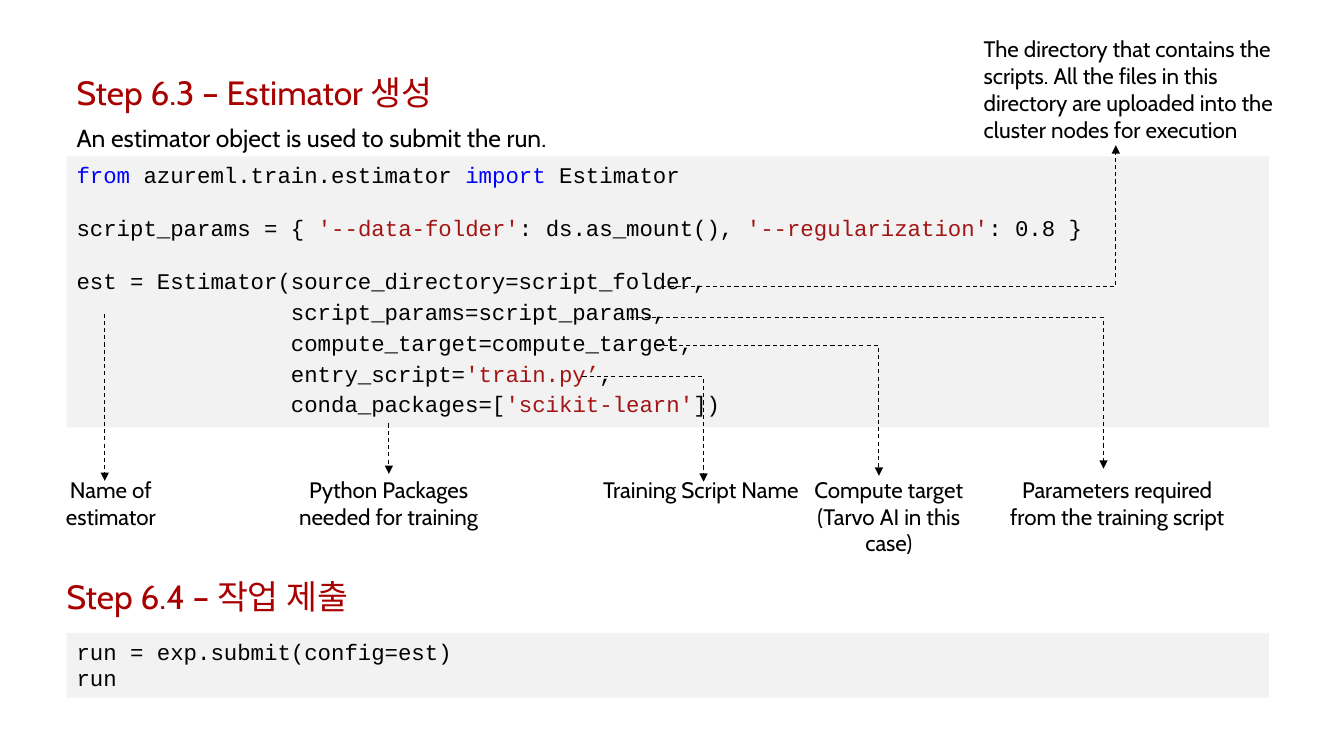
"""Build the slide that explains creating an estimator and submitting the run."""
from lxml.etree import SubElement
from pptx import Presentation
from pptx.dml.color import RGBColor
from pptx.enum.dml import MSO_LINE
from pptx.enum.shapes import MSO_CONNECTOR as Connector, MSO_SHAPE as Shape
from pptx.enum.text import MSO_ANCHOR as Anchor, PP_ALIGN as Align
from pptx.oxml.ns import qn
from pptx.util import Cm, Pt

BLACK = RGBColor(0x00, 0x00, 0x00)
HEADING = RGBColor(0xA8, 0x00, 0x00)
KEYWORD = RGBColor(0x01, 0x01, 0xFD)
STRING = RGBColor(0xA3, 0x15, 0x15)
PANEL = RGBColor(0xF2, 0xF2, 0xF2)
ARGUMENT = " " * 16

deck = Presentation()
deck.slide_width, deck.slide_height = Cm(33.87), Cm(19.05)
page = deck.slides.add_slide(deck.slide_layouts[6])


def add_text(text, left, top, width, height, size=16, color=BLACK, align=Align.LEFT, inset=0):
    box = page.shapes.add_textbox(Cm(left), Cm(top), Cm(width), Cm(height))
    frame = box.text_frame
    frame.word_wrap = True
    frame.margin_left = frame.margin_right = Cm(inset)
    frame.margin_top = frame.margin_bottom = Cm(inset / 2)
    frame.text = text
    para = frame.paragraphs[0]
    para.alignment = align
    if color == HEADING:
        para.line_spacing = 0.9
    font = para.runs[0].font
    font.name, font.size, font.color.rgb = "Cabin", Pt(size), color


def add_code(lines, top, height):
    panel = page.shapes.add_shape(Shape.RECTANGLE, Cm(1.68), Cm(top), Cm(30.3), Cm(height))
    panel.shadow.inherit = False
    panel.fill.solid()
    panel.fill.fore_color.rgb = PANEL
    panel.line.fill.background()
    frame = panel.text_frame
    frame.word_wrap = True
    frame.vertical_anchor = Anchor.TOP
    for number, (before, after, spans) in enumerate(lines):
        para = frame.add_paragraph() if number else frame.paragraphs[0]
        para.alignment = Align.LEFT
        para.line_spacing = Pt(19)
        para.space_before, para.space_after = Pt(before), Pt(after)
        for text, color in spans:
            span = para.add_run()
            span.text = text
            span.font.name, span.font.size, span.font.color.rgb = "Courier New", Pt(16), color


add_text("Step 6.3 – Estimator 생성", 1.93, 1.93, 29.11, 0.91, 24, HEADING)
add_text("An estimator object is used to submit the run.", 1.68, 2.97, 13.16, 1.02, 17.6, inset=0.25)
add_code([
    (0, 0, [("from ", KEYWORD), ("azureml.train.estimator ", BLACK),
            ("import", KEYWORD), (" Estimator", BLACK)]),
    (19, 0, [("script_params = { ", BLACK), ("'--data-folder'", STRING),
             (": ds.as_mount(), ", BLACK), ("'--regularization'", STRING), (": 0.8 }", BLACK)]),
    (19, 3, [("est = Estimator(source_directory=script_folder,", BLACK)]),
    (0, 3, [(ARGUMENT + "script_params=script_params,", BLACK)]),
    (0, 3, [(ARGUMENT + "compute_target=compute_target,", BLACK)]),
    (0, 3, [(ARGUMENT + "entry_script=", BLACK), ("'train.py’", STRING), (",", BLACK)]),
    (0, 3, [(ARGUMENT + "conda_packages=[", BLACK), ("'scikit-learn'", STRING), ("])", BLACK)]),
], 3.94, 6.83)

add_text("The directory that contains the scripts. All the files in this directory "
         "are uploaded into the cluster nodes for execution", 24.79, 0.89, 7.72, 2.74)
for label, left, width, height in [
    ("Name of estimator", 0.94, 3.71, 1.37),
    ("Python Packages needed for training", 7.32, 4.95, 1.37),
    ("Training Script Name", 15.19, 4.95, 1.37),
    ("Compute target (Tarvo AI in this case)", 20.47, 3.86, 2.06),
    ("Parameters required from the training script", 25.27, 5.77, 1.37),
]:
    add_text(label, left, 11.99, width, height, align=Align.CENTER)

for start_x, start_y, end_x, end_y in [
    (2.64, 7.9, 2.64, 12.12),
    (9.8, 10.67, 9.8, 11.94),
    (14.68, 9.5, 17.73, 12.14),
    (16.56, 8.71, 22.15, 11.99),
    (15.88, 8, 27.81, 11.81),
    (16.69, 7.21, 28.12, 3.66),
]:
    straight = start_x == end_x
    kind = Connector.STRAIGHT if straight else Connector.ELBOW
    arrow = page.shapes.add_connector(kind, Cm(start_x), Cm(start_y), Cm(end_x), Cm(end_y))
    arrow.line.color.rgb = BLACK
    arrow.line.width = Pt(0.75)
    arrow.line.dash_style = MSO_LINE.DASH
    properties = arrow._element.spPr
    if not straight:
        properties.find(qn("a:prstGeom")).set("prst", "bentConnector2")
    SubElement(properties.find(qn("a:ln")), qn("a:tailEnd"), type="triangle")
    SubElement(properties, qn("a:effectLst"))

add_text("Step 6.4 – 작업 제출", 1.68, 14.63, 30.3, 0.91, 24, HEADING)
add_code([
    (0, 0, [("run = exp.submit(config=est)", BLACK)]),
    (0, 0, [("run", BLACK)]),
], 15.95, 1.63)

deck.save("out.pptx")
